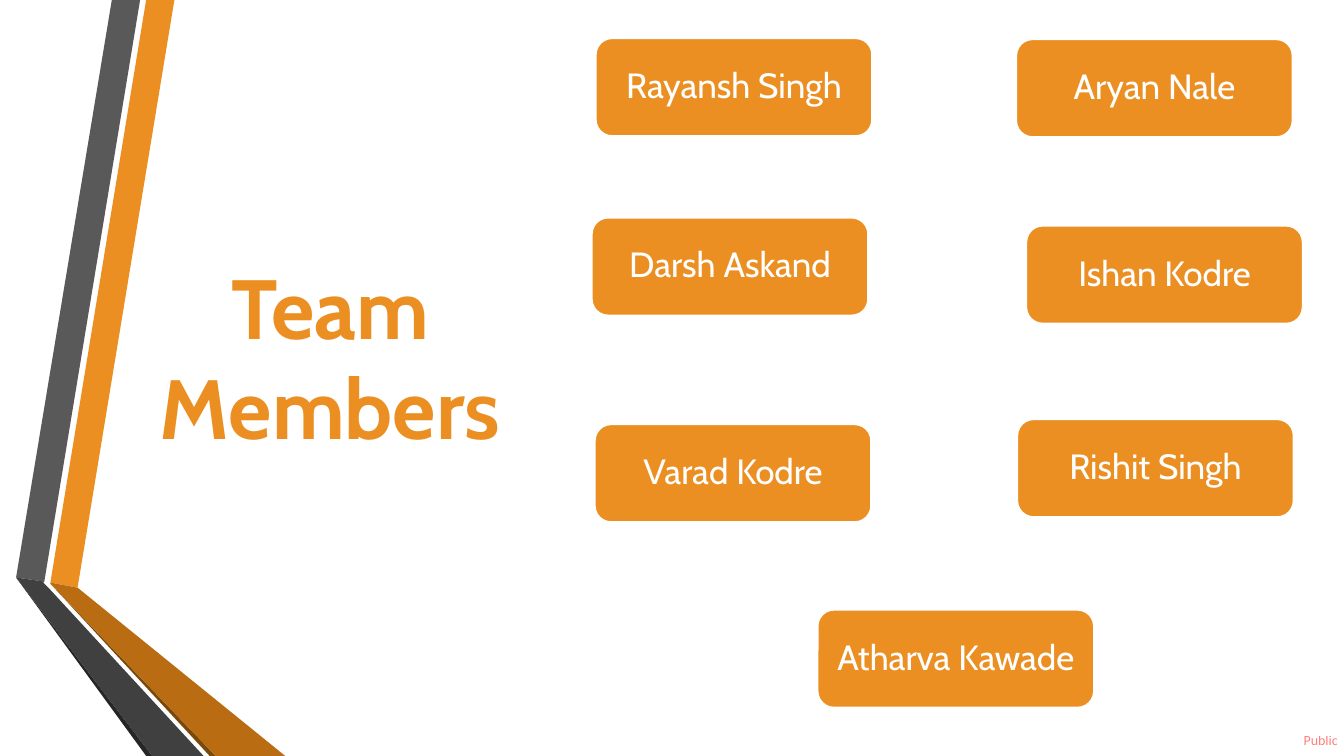
from lxml import etree
from pptx import Presentation, util as u
from pptx.dml.color import RGBColor
from pptx.enum import shapes, text
from pptx.oxml import ns

ORANGE = RGBColor(0xEB, 0x8F, 0x22)
BROWN = RGBColor(0xB9, 0x6C, 0x11)
DARK_BROWN = RGBColor(0x7B, 0x48, 0x0B)
GREY = RGBColor(0x59, 0x59, 0x59)
DARK_GREY = RGBColor(0x40, 0x40, 0x40)
BLACK = RGBColor(0x26, 0x26, 0x26)
WHITE = RGBColor(0xFF, 0xFF, 0xFF)
RED = RGBColor(0xFF, 0x00, 0x00)

COLS, ROWS = 13.33, 7.5
CARD = (2.74, 0.97)

RIBBONS = [
    (ORANGE, [(0.5, 5.78), (0.77, 5.83), (1.73, 0), (1.45, 0)]),
    (GREY, [(1.39, 0), (1.11, 0), (0.16, 5.73), (0.44, 5.77)]),
    (BLACK, [(0.16, 5.73), (1.45, ROWS), (1.51, ROWS)]),
    (DARK_BROWN, [(0.5, 5.79), (2.08, ROWS), (2.14, ROWS)]),
    (BROWN, [(0.5, 5.79), (2.14, ROWS), (2.83, ROWS), (0.77, 5.83), (0.5, 5.78)]),
    (DARK_GREY, [(2.02, ROWS), (0.48, 5.83), (0.43, 5.78), (0.44, 5.77),
                 (0.16, 5.73), (1.51, ROWS)]),
]

MEMBERS = [
    ("Rayansh Singh", 5.91, 0.38),
    ("Aryan Nale", 10.08, 0.39),
    ("Darsh Askand", 5.87, 2.16),
    ("Ishan Kodre", 10.18, 2.24),
    ("Varad Kodre", 5.9, 4.21),
    ("Rishit Singh", 10.09, 4.16),
    ("Atharva Kawade", 8.11, 6.05),
]


def write(tf, words, size, color, font="Cabin", bold=False, wrap=True,
          align=text.PP_ALIGN.CENTER, anchor=text.MSO_ANCHOR.MIDDLE,
          margins=(0.1, 0.05), spacing=1.0, alpha=None):
    """Fill a text frame with one formatted paragraph."""
    tf.auto_size = text.MSO_AUTO_SIZE.NONE
    tf.word_wrap = wrap
    tf.vertical_anchor = anchor
    tf.margin_left = tf.margin_right = u.Inches(margins[0])
    tf.margin_top = tf.margin_bottom = u.Inches(margins[1])
    p = tf.paragraphs[0]
    p.alignment, p.line_spacing = align, spacing
    r = p.add_run()
    r.text = words
    r.font.name, r.font.size, r.font.bold = font, u.Pt(size), bold
    r.font.color.rgb = color
    if alpha is not None:
        clr = r.font.fill._xPr.find(".//" + ns.qn("a:srgbClr"))
        etree.SubElement(clr, ns.qn("a:alpha")).set("val", str(alpha * 1000))


class Deck:
    """Hold the style, the grid and the current slide."""

    def __init__(self, cols, rows):
        """Open a one-slide deck on a grid of one-inch cells."""
        self.prs = Presentation()
        self.prs.slide_width, self.prs.slide_height = u.Inches(cols), u.Inches(rows)
        self.cell_w = self.prs.slide_width / cols
        self.cell_h = self.prs.slide_height / rows
        self.s = self.prs.slides.add_slide(self.prs.slide_layouts[5])

    def at(self, col, row):
        """Turn grid units into slide lengths."""
        return u.Emu(round(col * self.cell_w)), u.Emu(round(row * self.cell_h))

    def title(self, words, col, row, width, height):
        """Place the title placeholder."""
        sp = self.s.shapes.title
        sp.left, sp.top = self.at(col, row)
        sp.width, sp.height = self.at(width, height)
        write(sp.text_frame, words, 60, ORANGE, bold=True)

    def ribbon(self, color, points):
        """Draw a filled polygon without an outline."""
        start, *rest = [self.at(*point) for point in points]
        builder = self.s.shapes.build_freeform(*start)
        builder.add_line_segments(rest, close=True)
        sp = builder.convert_to_shape()
        sp.shadow.inherit = False
        sp.fill.solid()
        sp.fill.fore_color.rgb = color
        sp.line.fill.background()

    def card(self, name, col, row):
        """Draw a rounded name card."""
        sp = self.s.shapes.add_shape(shapes.MSO_SHAPE.ROUNDED_RECTANGLE,
                                     *self.at(col, row), *self.at(*CARD))
        sp.shadow.inherit = False
        sp.fill.solid()
        sp.fill.fore_color.rgb = ORANGE
        sp.line.color.rgb = WHITE
        sp.line.width = u.Pt(1.25)
        write(sp.text_frame, name, 25, WHITE, spacing=0.9)

    def label(self, words, col, row, width, height):
        """Place the small classification label."""
        sp = self.s.shapes.add_textbox(*self.at(col, row), *self.at(width, height))
        write(sp.text_frame, words, 10, RED, font="Calibri", wrap=False,
              align=text.PP_ALIGN.LEFT, anchor=text.MSO_ANCHOR.TOP,
              margins=(0, 0), alpha=50)


def main():
    """Build and save the slide."""
    deck = Deck(COLS, ROWS)
    for color, points in RIBBONS:
        deck.ribbon(color, points)
    deck.label("Public", 12.93, 7.26, 0.37, 0.17)
    deck.title("Team Members", 1.35, 0.74, 3.85, 5.58)
    for member in MEMBERS:
        deck.card(*member)
    deck.prs.save("out.pptx")


if __name__ == "__main__":
    main()
